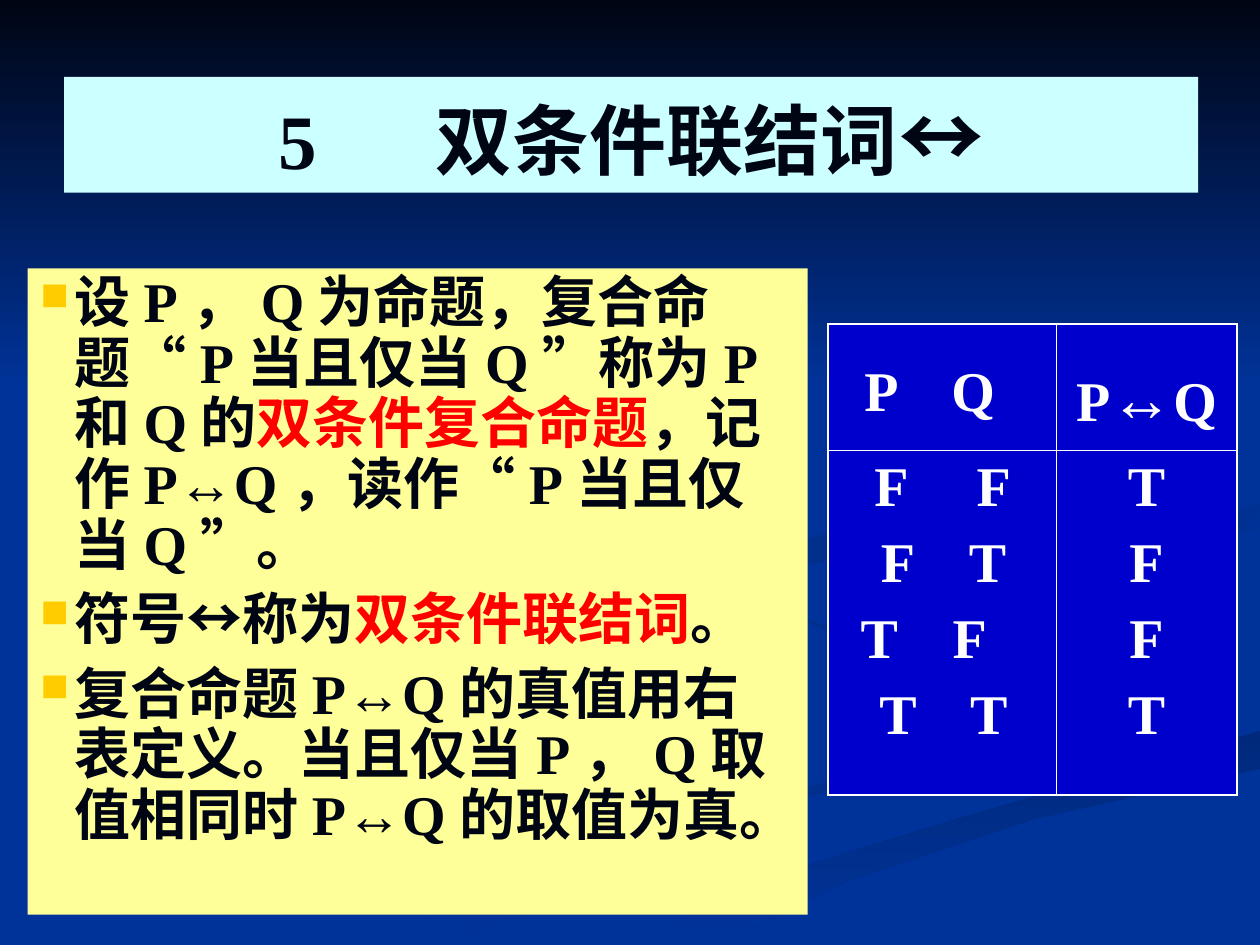
from dataclasses import dataclass

from lxml import etree
from pptx import Presentation
from pptx.dml.color import RGBColor
from pptx.enum.shapes import MSO_SHAPE
from pptx.enum.text import MSO_ANCHOR, PP_ALIGN
from pptx.oxml.ns import qn
from pptx.util import Inches, Pt

RECTANGLE = MSO_SHAPE.RECTANGLE
CENTER, LEFT = PP_ALIGN.CENTER, PP_ALIGN.LEFT
MIDDLE, TOP = MSO_ANCHOR.MIDDLE, MSO_ANCHOR.TOP
FONT = "Times New Roman"
COLORS = {
    "blue": "003399", "night": "000514", "title": "CCFFFF", "body": "FFFF99",
    "red": "FF0000", "bullet": "FFCC00", "cell": "0000CC", "white": "FFFFFF",
    "shade": "002E8A", "deep": "00297C", "upper": "002C85", "swirl": "002B81",
}
WIDTH, HEIGHT = Inches(10), Inches(7.5)
COLUMN, ROW = WIDTH / 100, HEIGHT / 75  # the slide is a grid of 100 by 75


@dataclass(frozen=True)
class Box:
    left: float
    top: float
    width: float
    height: float

    def lengths(self) -> tuple[int, int, int, int]:
        return (round(self.left * COLUMN), round(self.top * ROW),
                round(self.width * COLUMN), round(self.height * ROW))


@dataclass(frozen=True)
class Run:
    text: str
    color: str = "night"
    size: float = 32


@dataclass(frozen=True)
class Ribbon:
    """A curved background band; points are columns and rows."""
    points: tuple[tuple[int, int], ...]
    start: str
    end: str
    angle: int


@dataclass(frozen=True)
class Pair:
    """Two letters and their distances in columns from the cell's text edge."""
    first: str
    second: str
    first_at: float
    second_at: float


TITLE_BOX = Box(5.1, 6.1, 90, 9.2)
BODY_BOX = Box(2.2, 21.3, 61.9, 51.3)
TABLE_BOX = Box(65.7, 25.7, 32.5, 37.4)
SKY_BOX = Box(0, 0, 100, 30.8)
TABLE_COLUMNS = (18.1, 14.4)
TABLE_ROWS = (10, 27.4)

RIBBONS = (
    Ribbon(((57, 46), (78, 56), (70, 61), (46, 67), (30, 75), (36, 75), (56, 66),
            (80, 58), (73, 53)), "shade", "blue", 180),
    Ribbon(((72, 46), (78, 52), (90, 56), (89, 61), (94, 57), (89, 53)),
           "shade", "blue", 225),
    Ribbon(((50, 75), (57, 75), (67, 70), (82, 65), (100, 61), (100, 58), (76, 65),
            (63, 69)), "deep", "blue", 90),
    Ribbon(((78, 46), (86, 43), (100, 40), (100, 42), (84, 45), (83, 50)),
           "blue", "upper", 225),
    Ribbon(((76, 23), (86, 29), (89, 34), (84, 38), (59, 44), (62, 50), (60, 46),
            (82, 40), (89, 35), (86, 29)), "blue", "swirl", 225),
)
BODY = (
    (Run("设P，Q为命题，复合命题“P当且仅当Q”称为P和Q的"), Run("双条件复合命题", "red"),
     Run("，记作P↔Q，读作“P当且仅当Q”。")),
    (Run("符号↔称为"), Run("双条件联结词", "red"), Run("。")),
    (Run("复合命题P↔Q的真值用右表定义。当且仅当P，Q取值相同时P↔Q的取值为真。"),),
)
HEADER = Pair("P", "Q", 1.9, 8.8)
INPUTS = (Pair("F", "F", 2.7, 10.8), Pair("F", "T", 3.2, 10.2),
          Pair("T", "F", 1.6, 8.9), Pair("T", "T", 3.1, 10.3))
RESULTS = ("T", "F", "F", "T")


def rgb(name: str) -> RGBColor:
    return RGBColor.from_string(COLORS[name])


def paint(fill, name: str) -> None:
    fill.solid()
    fill.fore_color.rgb = rgb(name)


def paint_gradient(shape, start: str, end: str, angle: int) -> None:
    """Blend two colours; the angle runs clockwise from left-to-right."""
    shape.shadow.inherit = False
    shape.line.fill.background()
    shape.fill.gradient()
    shape.fill.gradient_angle = (360 - angle) % 360
    for stop, name in zip(shape.fill.gradient_stops, (start, end)):
        stop.color.rgb = rgb(name)


def add_ribbon(slide, ribbon: Ribbon) -> None:
    builder = slide.shapes.build_freeform(*ribbon.points[0], scale=COLUMN)
    builder.add_line_segments(ribbon.points[1:], close=True)
    paint_gradient(builder.convert_to_shape(), ribbon.start, ribbon.end, ribbon.angle)


def add_runs(paragraph, runs: tuple[Run, ...]) -> None:
    for item in runs:
        run = paragraph.add_run()
        run.text = item.text
        run.font.name, run.font.size, run.font.bold = FONT, Pt(item.size), True
        run.font.color.rgb = rgb(item.color)


def hang(paragraph, first_at: float, rest_at: float) -> None:
    """Start the first line at one column and its tab or later lines at another."""
    paragraph.alignment = LEFT
    properties = paragraph._p.get_or_add_pPr()
    properties.set("marL", str(round(rest_at * COLUMN)))
    properties.set("indent", str(round((first_at - rest_at) * COLUMN)))


def add_bullet(paragraph) -> None:
    properties = paragraph._p.get_or_add_pPr()
    color = etree.SubElement(properties, qn("a:buClr"))
    etree.SubElement(color, qn("a:srgbClr"), val=COLORS["bullet"])
    etree.SubElement(properties, qn("a:buSzPct"), val="70000")
    etree.SubElement(properties, qn("a:buChar"), char="■")


def next_paragraph(frame, index: int):
    if index == 0:
        return frame.paragraphs[0]
    paragraph = frame.add_paragraph()
    paragraph.space_before = Pt(8)
    return paragraph


def add_pair(paragraph, pair: Pair) -> None:
    hang(paragraph, pair.first_at, pair.second_at)
    add_runs(paragraph, (Run(f"{pair.first}\t{pair.second}", "white"),))


def set_borders(cell, row: int, column: int) -> None:
    """Thick lines on the table's outside, thin ones inside."""
    outside = {"a:lnL": column == 0, "a:lnR": column == 1,
               "a:lnT": row == 0, "a:lnB": row == 1}
    properties = cell._tc.get_or_add_tcPr()
    for tag, thick in outside.items():
        line = etree.SubElement(properties, qn(tag), w=str(Pt(1.08 if thick else 0.45)))
        fill = etree.SubElement(line, qn("a:solidFill"))
        etree.SubElement(fill, qn("a:srgbClr"), val=COLORS["white"])


def add_title(slide) -> None:
    title = slide.shapes.title
    slide.shapes._spTree.append(title._element)
    title.left, title.top, title.width, title.height = TITLE_BOX.lengths()
    paint(title.fill, "title")
    title.text_frame.vertical_anchor = MIDDLE
    paragraph = title.text_frame.paragraphs[0]
    hang(paragraph, 16, 28.5)
    add_runs(paragraph, (Run("5\t双条件联结词", size=44), Run("↔", size=49)))


def add_body(slide) -> None:
    body = slide.shapes.add_textbox(*BODY_BOX.lengths())
    paint(body.fill, "body")
    body.text_frame.word_wrap = True
    body.text_frame.vertical_anchor = TOP
    for index, runs in enumerate(BODY):
        paragraph = next_paragraph(body.text_frame, index)
        hang(paragraph, 0, 2.7)
        add_bullet(paragraph)
        paragraph.line_spacing = 0.9
        add_runs(paragraph, runs)


def add_truth_table(slide) -> None:
    table = slide.shapes.add_table(2, 2, *TABLE_BOX.lengths()).table
    for column, width in zip(table.columns, TABLE_COLUMNS):
        column.width = round(width * COLUMN)
    for row, height in zip(table.rows, TABLE_ROWS):
        row.height = round(height * ROW)
    for index, cell in enumerate(table.iter_cells()):
        set_borders(cell, *divmod(index, 2))
        paint(cell.fill, "cell")

    pair_head, result_head = (table.cell(0, i).text_frame.paragraphs[0] for i in (0, 1))
    add_pair(pair_head, HEADER)
    result_head.alignment = CENTER
    add_runs(result_head, (Run("P", "white"), Run("↔", "white", 36), Run("Q", "white")))
    pair_head.line_spacing = result_head.line_spacing = 1.5

    for index, (pair, result) in enumerate(zip(INPUTS, RESULTS)):
        add_pair(next_paragraph(table.cell(1, 0).text_frame, index), pair)
        paragraph = next_paragraph(table.cell(1, 1).text_frame, index)
        paragraph.alignment = CENTER
        add_runs(paragraph, (Run(result, "white"),))


def main() -> None:
    presentation = Presentation()
    presentation.slide_width, presentation.slide_height = WIDTH, HEIGHT
    slide = presentation.slides.add_slide(presentation.slide_layouts[5])
    paint(slide.background.fill, "blue")
    for ribbon in RIBBONS:
        add_ribbon(slide, ribbon)
    sky = slide.shapes.add_shape(RECTANGLE, *SKY_BOX.lengths())
    paint_gradient(sky, "night", "blue", 90)
    add_title(slide)
    add_body(slide)
    add_truth_table(slide)
    presentation.save("out.pptx")


if __name__ == "__main__":
    main()
